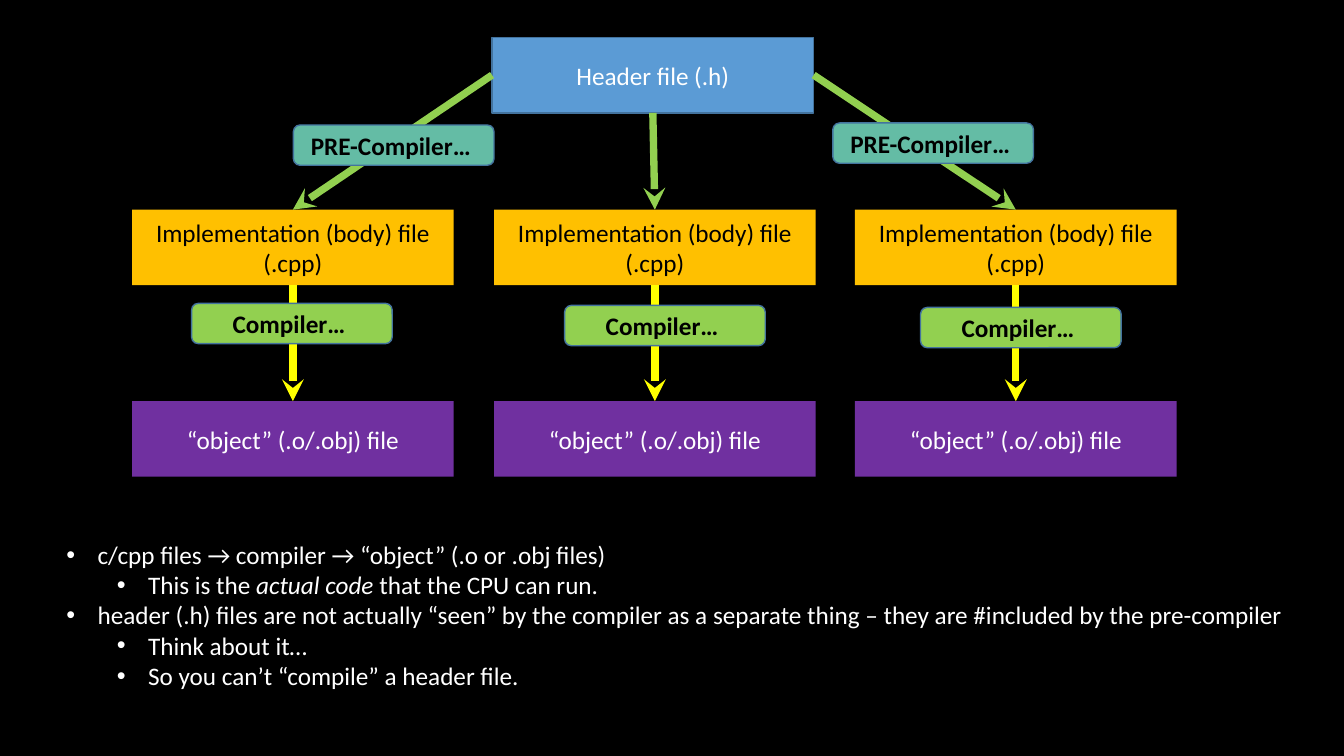
from lxml.etree import SubElement
from pptx import Presentation
from pptx.dml.color import RGBColor
from pptx.enum.shapes import MSO_CONNECTOR, MSO_SHAPE
from pptx.enum.text import MSO_ANCHOR, MSO_AUTO_SIZE, PP_ALIGN
from pptx.oxml.ns import qn
from pptx.util import Inches, Pt

TOP, LEFT, BOTTOM, RIGHT = range(4)  # connection sites of a rectangle


def color(hex_string):
    return RGBColor.from_string(hex_string)


def add_run(paragraph, text, text_color, bold=None, italic=None):
    run = paragraph.add_run()
    run.text = text
    run.font.name = "Calibri"
    run.font.size = Pt(18)
    run.font.bold = bold
    run.font.italic = italic
    run.font.color.rgb = color(text_color)


prs = Presentation()
prs.slide_width = Inches(13.33)
prs.slide_height = Inches(7.5)
slide = prs.slides.add_slide(prs.slide_layouts[6])
slide.background.fill.solid()
slide.background.fill.fore_color.rgb = color("000000")

# Files and compiler stages: kind, left, top, text; arrows go below the stages
styles = {  # preset, width, height, fill, outline, text colour, bold
    "header": (MSO_SHAPE.RECTANGLE, 3.19, 0.75, "5B9BD5", "43739E", "FFFFFF", None),
    "body": (MSO_SHAPE.RECTANGLE, 3.19, 0.75, "FFC000", None, "000000", None),
    "object": (MSO_SHAPE.RECTANGLE, 3.19, 0.75, "7030A0", None, "FFFFFF", None),
    "compiler": (MSO_SHAPE.ROUNDED_RECTANGLE, 1.99, 0.4, "92D050", "43739E", "000000", True),
    "precompiler": (MSO_SHAPE.ROUNDED_RECTANGLE, 1.99, 0.4, "64BCA5", "43739E", "000000", True),
}
columns = [1.31, 4.9, 8.48]
files = [("header", 4.88, 0.37, "Header file (.h)")]
files += [("body", left, 2.08, "Implementation (body) file (.cpp)") for left in columns]
files += [("object", left, 3.98, "“object” (.o/.obj) file") for left in columns]
stages = [("compiler", left, top, "Compiler… ")
          for left, top in [(1.9, 3.01), (5.6, 3.03), (9.13, 3.05)]]
stages += [("precompiler", left, top, "PRE-Compiler… ")
           for left, top in [(2.91, 1.24), (8.26, 1.22)]]

boxes = {kind: [] for kind in styles}
for kind, left, top, text in files + stages:
    preset, width, height, fill, outline, text_color, bold = styles[kind]
    box = slide.shapes.add_shape(preset, Inches(left), Inches(top), Inches(width), Inches(height))
    box.shadow.inherit = False
    box.fill.solid()
    box.fill.fore_color.rgb = color(fill)
    if outline:
        box.line.color.rgb = color(outline)
        box.line.width = Pt(1)
    else:
        box.line.fill.background()
    box.text_frame.word_wrap = True
    box.text_frame.vertical_anchor = MSO_ANCHOR.MIDDLE
    label = box.text_frame.paragraphs[0]
    label.alignment = PP_ALIGN.CENTER
    add_run(label, text, text_color, bold)
    boxes[kind].append(box)

# Arrows: header to each body file, body file to object file
header = boxes["header"][0]
arrows = [(header, side, body, "92D050")
          for side, body in zip((LEFT, BOTTOM, RIGHT), boxes["body"])]
arrows += [(body, BOTTOM, target, "FFFF00")
           for body, target in zip(boxes["body"], boxes["object"])]
for source, side, target, line_color in arrows:
    arrow = slide.shapes.add_connector(MSO_CONNECTOR.STRAIGHT, 0, 0, 0, 0)
    arrow.begin_connect(source, side)
    arrow.end_connect(target, TOP)
    arrow.line.color.rgb = color(line_color)
    arrow.line.width = Pt(5.25)
    SubElement(arrow.line._get_or_add_ln(), qn("a:tailEnd"), type="stealth")
    SubElement(arrow._element.spPr, qn("a:effectLst"))
    # Keep the compiler stages in front of the arrows
    boxes["compiler"][0]._element.addprevious(arrow._element)

# Explanation: level, then (text, italic) runs
points = [
    (0, [("c/cpp files → compiler → “object” (.o or .obj files)", None)]),
    (1, [("This is the ", None), ("actual code ", True), ("that the CPU can run.", None)]),
    (0, [("header (.h) files are not actually “seen” by the compiler as a separate thing"
          " – they are #included by the pre-compiler", None)]),
    (1, [("Think about it…", None)]),
    (1, [("So you can’t “compile” a header file.", None)]),
]
explanation = slide.shapes.add_textbox(
    Inches(0.56), Inches(5.3), Inches(12.59), Inches(1.62)).text_frame
explanation.word_wrap = True
explanation.auto_size = MSO_AUTO_SIZE.SHAPE_TO_FIT_TEXT
for index, (level, runs) in enumerate(points):
    point = explanation.add_paragraph() if index else explanation.paragraphs[0]
    point.level = level
    properties = point._p.get_or_add_pPr()
    properties.set("marL", str(Inches(0.31 + 0.5 * level)))
    properties.set("indent", str(Inches(-0.31)))
    SubElement(properties, qn("a:buFont"), typeface="Arial")
    SubElement(properties, qn("a:buChar"), char="•")
    for text, italic in runs:
        add_run(point, text, "FFFFFF", italic=italic)

prs.save("out.pptx")
